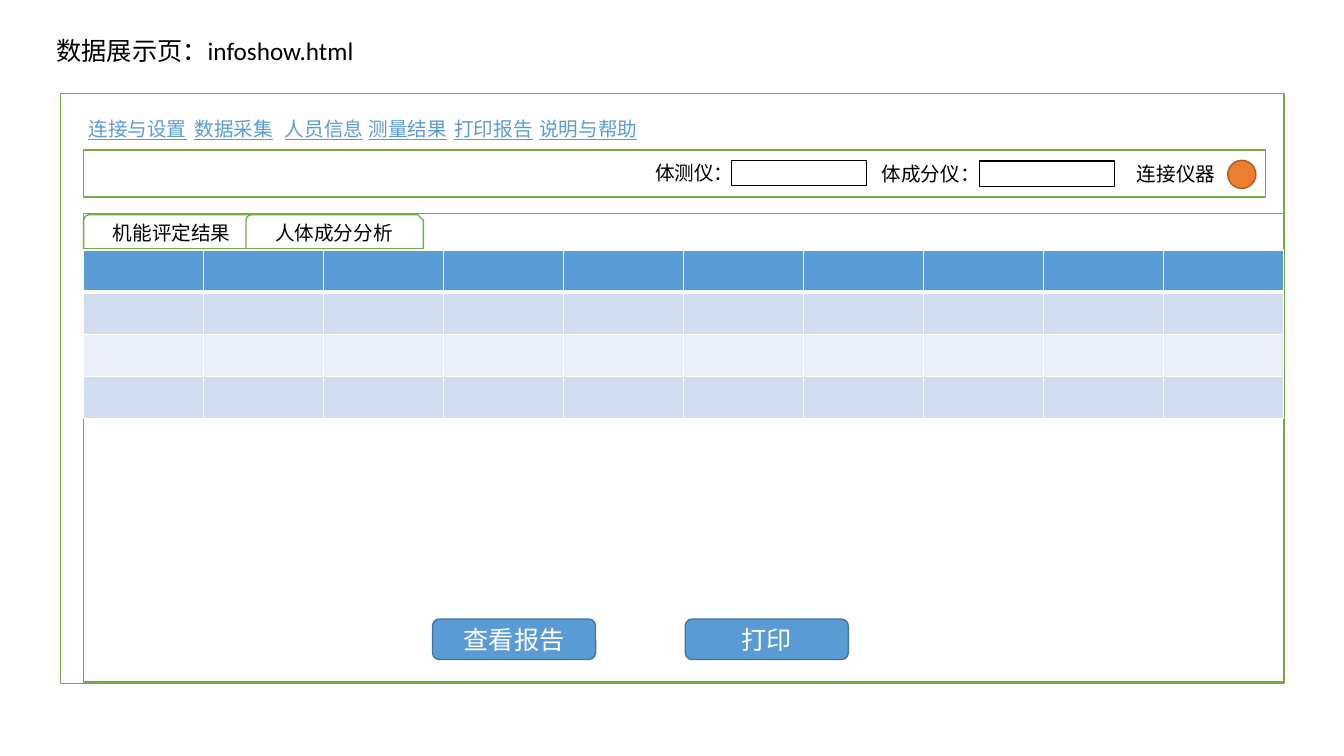
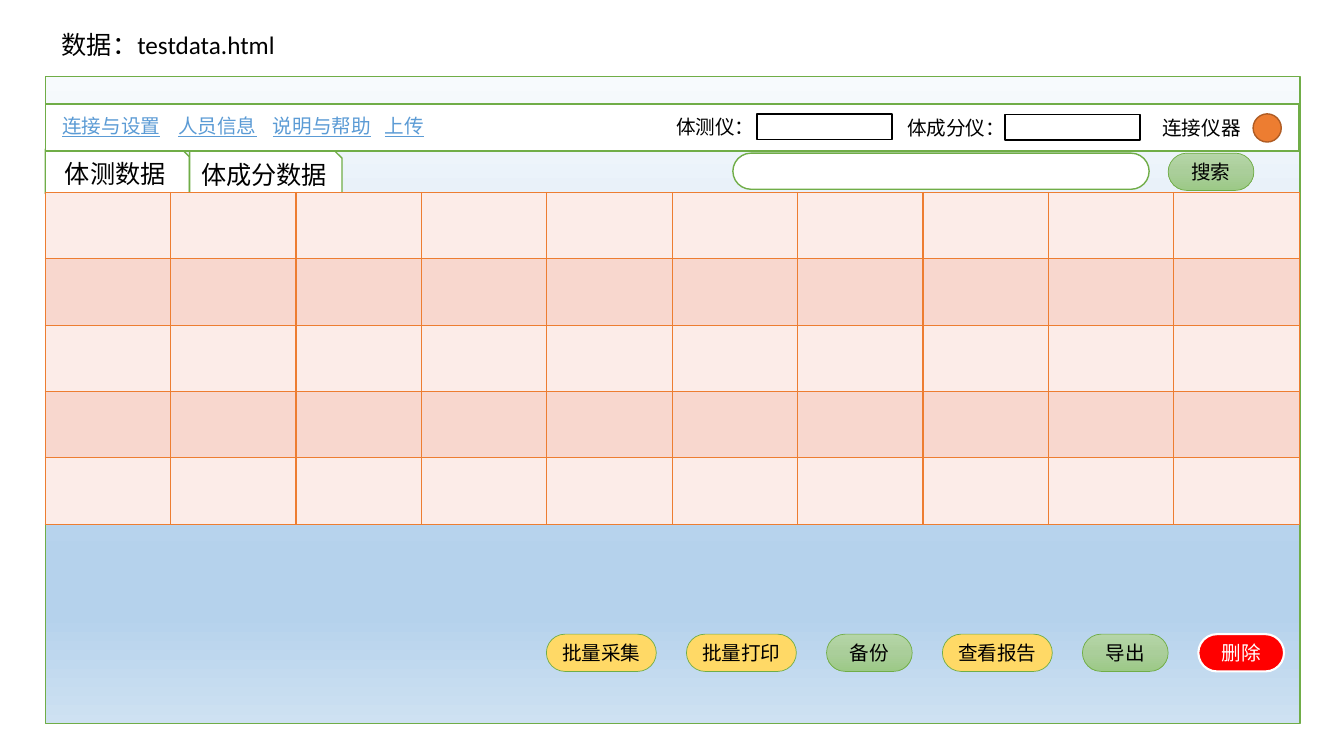
from lxml.etree import SubElement
from pptx import Presentation
from pptx.dml.color import RGBColor
from pptx.enum.shapes import MSO_SHAPE
from pptx.enum.text import MSO_ANCHOR, MSO_AUTO_SIZE, PP_ALIGN
from pptx.oxml.ns import qn
from pptx.util import Cm, Pt

# Shared colours: a hex string, or a list of (percent, hex) gradient stops
WHITE, BLACK, BLUE, GREEN, ORANGE = "FFFFFF", "000000", "5B9BD5", "70AD47", "ED7D31"
BLUE_EDGE, ORANGE_EDGE, YELLOW, RED = "43739E", "AF5C24", "FFD966", "FF0000"
SKY = [(0, "F7FAFD"), (74, "B5D2EC"), (83, "B5D2EC"), (100, "CEE1F2")]
LEAF = [(0, "B5D5A7"), (50, "AACE9A"), (100, "9CC987")]

# Shared text formats
TITLE_FONT = {"name": "Calibri", "size": Pt(18), "bold": False}
BODY_FONT = {"name": "Calibri", "size": Pt(14)}
LINK_FONT = {**BODY_FONT, "underline": True}
TITLE_FRAME = {"word_wrap": True, "auto_size": MSO_AUTO_SIZE.NONE,
               "vertical_anchor": MSO_ANCHOR.TOP}
LABEL_FRAME = {"word_wrap": True, "vertical_anchor": MSO_ANCHOR.TOP}
SHAPE_FRAME = {"word_wrap": True, "vertical_anchor": MSO_ANCHOR.MIDDLE,
               "margin_left": 0, "margin_right": 0}
LEFT = {"alignment": PP_ALIGN.LEFT, "line_spacing": 1.0}
CENTER = {"alignment": PP_ALIGN.CENTER}

# Shared measures in centimetres
LABEL_SIZE = (3.12, 0.86)
DEVICE_BOX_SIZE = (3.4, 0.64)
LAMP_SIZE = (0.71, 0.71)
PILL_GAP, PILL_HEIGHT = 0.76, 0.94
WIDE_PILL, NARROW_PILL = 2.77, 2.16
COLUMNS = 10

# Content; boxes are (left, top, width, height) in centimetres
RESULT_PAGE = {
    "title": ("数据展示页：infoshow.html", (1.17, 0.76, 10.01, 1.02)),
    "frames": [((1.52, 2.36, 30.84, 14.86), WHITE), ((2.11, 5.38, 30.23, 11.81), WHITE)],
    "tab_style": (MSO_SHAPE.SNIP_ROUND_RECTANGLE, BODY_FONT),
    "tabs": [("机能评定结果", (2.11, 5.41, 4.47, 0.86)),
             ("人体成分分析", (6.2, 5.41, 4.47, 0.86))],
    "table": {"box": (2.11, 6.3, 30.23, 4.24), "border": WHITE, "header_rule": 3,
              "rows": [BLUE, "D2DEEF", "EAEFF7", "D2DEEF"]},
    "toolbar": (2.11, 3.78, 29.79, 1.19),
    "links_top": 2.82,
    "links": [("连接与设置", 1.98), ("数据采集", 4.65), ("人员信息", 6.93),
              ("测量结果", 9.04), ("打印报告", 11.2), ("说明与帮助", 13.34)],
    "devices": {"label_left": 16.26, "left": 18.44, "top": 4.04},
}
DATA_PAGE = {
    "title": ("数据：testdata.html", (1.3, 0.61, 7.26, 1.02)),
    "frames": [((1.14, 1.93, 31.62, 16.31), SKY)],
    "tab_style": (MSO_SHAPE.SNIP_1_RECTANGLE, TITLE_FONT),
    "tabs": [("体测数据", (1.14, 3.76, 3.63, 1.12)),
             ("体成分数据", (4.78, 3.81, 3.84, 1.07))],
    "table": {"box": (1.14, 4.85, 31.6, 8.36), "border": ORANGE, "header_rule": 1,
              "rows": ["FCECE8", "F8D7CE", "FCECE8", "F8D7CE", "FCECE8"]},
    "toolbar": (1.14, 2.62, 31.6, 1.19),
    "links_top": 2.74,
    "links": [("连接与设置", 1.32), ("人员信息", 4.24), ("说明与帮助", 6.63), ("上传", 9.45)],
    "devices": {"label_left": 16.79, "left": 19.08, "top": 2.87},
}
REPORT_BUTTONS = [("查看报告", 10.9), ("打印", 17.27)]
SEARCH_FIELD = (18.47, 3.86, 10.49, 0.91)
SEARCH_BUTTON = ("搜索", (29.44, 3.86, NARROW_PILL, PILL_HEIGHT))
PILLS_LEFT, PILLS_TOP = 13.77, 15.98
PILLS = [("批量采集", WIDE_PILL, YELLOW), ("批量打印", WIDE_PILL, YELLOW),
         ("备份", NARROW_PILL, LEAF), ("查看报告", WIDE_PILL, YELLOW),
         ("导出", NARROW_PILL, LEAF), ("删除", NARROW_PILL, RED)]


def colour(value):
    return RGBColor.from_string(value)


def lengths(box):
    return [Cm(value) for value in box]


def apply(target, values):
    for name, value in values.items():
        setattr(target, name, value)


def add_solid(parent, value):
    SubElement(SubElement(parent, qn("a:solidFill")), qn("a:srgbClr"), val=value)


def write(shape, text, font, text_colour, frame_format, paragraph_format):
    frame = shape.text_frame
    apply(frame, frame_format)
    paragraph = frame.paragraphs[0]
    apply(paragraph, paragraph_format)
    run = paragraph.add_run()
    run.text = text
    apply(run.font, font)
    run.font.color.rgb = colour(text_colour)


def paint(shape, fill):
    if isinstance(fill, str):
        shape.fill.solid()
        shape.fill.fore_color.rgb = colour(fill)
        return
    shape.fill.gradient()
    gradient = shape.fill._fill._gradFill
    for child in list(gradient):
        gradient.remove(child)
    stops = SubElement(gradient, qn("a:gsLst"))
    for percent, value in fill:
        stop = SubElement(stops, qn("a:gs"), pos=str(percent * 1000))
        SubElement(stop, qn("a:srgbClr"), val=value)
    SubElement(gradient, qn("a:lin"), ang="5400000", scaled="0")


def add_box(slide, kind, box, fill, line=GREEN, width=1, text="", font=BODY_FONT,
            text_colour=BLACK):
    shape = slide.shapes.add_shape(kind, *lengths(box))
    shape.shadow.inherit = False
    paint(shape, fill)
    shape.line.color.rgb = colour(line)
    shape.line.width = Pt(width)
    if text:
        write(shape, text, font, text_colour, SHAPE_FRAME, CENTER)
    return shape


def add_pill(slide, box, fill, **options):
    shape = add_box(slide, MSO_SHAPE.ROUNDED_RECTANGLE, box, fill, **options)
    shape.adjustments[0] = 0.5


def add_label(slide, text, left, top, font=BODY_FONT, text_colour=BLACK):
    label = slide.shapes.add_textbox(*lengths((left, top, *LABEL_SIZE)))
    write(label, text, font, text_colour, LABEL_FRAME, LEFT)


def add_grid(slide, box, border, header_rule, rows):
    table = slide.shapes.add_table(len(rows), COLUMNS, *lengths(box)).table
    apply(table, {"first_row": False, "horz_banding": False})
    for column in table.columns:
        column.width = Cm(box[2] / COLUMNS)
    for index, (row, fill) in enumerate(zip(table.rows, rows)):
        row.height = Cm(box[3] / len(rows))
        widths = {"L": 1, "R": 1, "T": header_rule if index == 1 else 1,
                  "B": header_rule if index == 0 else 1}
        for cell in row.cells:
            properties = cell._tc.get_or_add_tcPr()
            for side, width in widths.items():
                edge = SubElement(properties, qn("a:ln" + side), w=str(Pt(width)))
                add_solid(edge, border)
            cell.fill.solid()
            cell.fill.fore_color.rgb = colour(fill)


def add_devices(slide, label_left, left, top):
    # Two device fields, then the connection lamp
    second_left = left + 6.25
    add_label(slide, "体测仪：", label_left, top - 0.1)
    add_label(slide, "体成分仪：", left + 3.53, top - 0.08)
    add_label(slide, "连接仪器", left + 9.96, top - 0.08)
    for box_left, box_top in ((left, top), (second_left, top + 0.02)):
        add_box(slide, MSO_SHAPE.RECTANGLE, (box_left, box_top, *DEVICE_BOX_SIZE),
                WHITE, line=BLACK)
    add_box(slide, MSO_SHAPE.OVAL, (left + 12.5, top, *LAMP_SIZE), ORANGE, line=ORANGE_EDGE)


def add_page(presentation, page):
    slide = presentation.slides.add_slide(presentation.slide_layouts[5])
    # Title
    text, box = page["title"]
    title = slide.shapes.title
    apply(title, dict(zip(("left", "top", "width", "height"), lengths(box))))
    write(title, text, TITLE_FONT, BLACK, TITLE_FRAME, LEFT)
    # Window frames, tabs and table
    for box, fill in page["frames"]:
        add_box(slide, MSO_SHAPE.RECTANGLE, box, fill)
    tab_kind, tab_font = page["tab_style"]
    for text, box in page["tabs"]:
        add_box(slide, tab_kind, box, WHITE, text=text, font=tab_font)
    add_grid(slide, **page["table"])
    # Toolbar, links and devices
    add_box(slide, MSO_SHAPE.RECTANGLE, page["toolbar"], WHITE)
    for text, left in page["links"]:
        add_label(slide, text, left, page["links_top"], LINK_FONT, BLUE)
    add_devices(slide, **page["devices"])
    return slide


def main():
    presentation = Presentation()
    apply(presentation, {"slide_width": Cm(33.87), "slide_height": Cm(19.05)})

    # Result page
    slide = add_page(presentation, RESULT_PAGE)
    for text, left in REPORT_BUTTONS:
        add_box(slide, MSO_SHAPE.ROUNDED_RECTANGLE, (left, 15.6, 4.11, 1.02), BLUE,
                line=BLUE_EDGE, text=text, font=TITLE_FONT, text_colour=WHITE)

    # Data page: search and a row of equally spaced buttons
    slide = add_page(presentation, DATA_PAGE)
    add_pill(slide, SEARCH_FIELD, WHITE)
    text, box = SEARCH_BUTTON
    add_pill(slide, box, LEAF, width=0.5, text=text)
    left = PILLS_LEFT
    for text, width, fill in PILLS:
        look = {"width": 0.5}
        if fill == RED:
            look = {"line": WHITE, "width": 1.5, "text_colour": WHITE}
        add_pill(slide, (left, PILLS_TOP, width, PILL_HEIGHT), fill, text=text, **look)
        left += width + PILL_GAP

    presentation.save("out.pptx")


if __name__ == "__main__":
    main()
